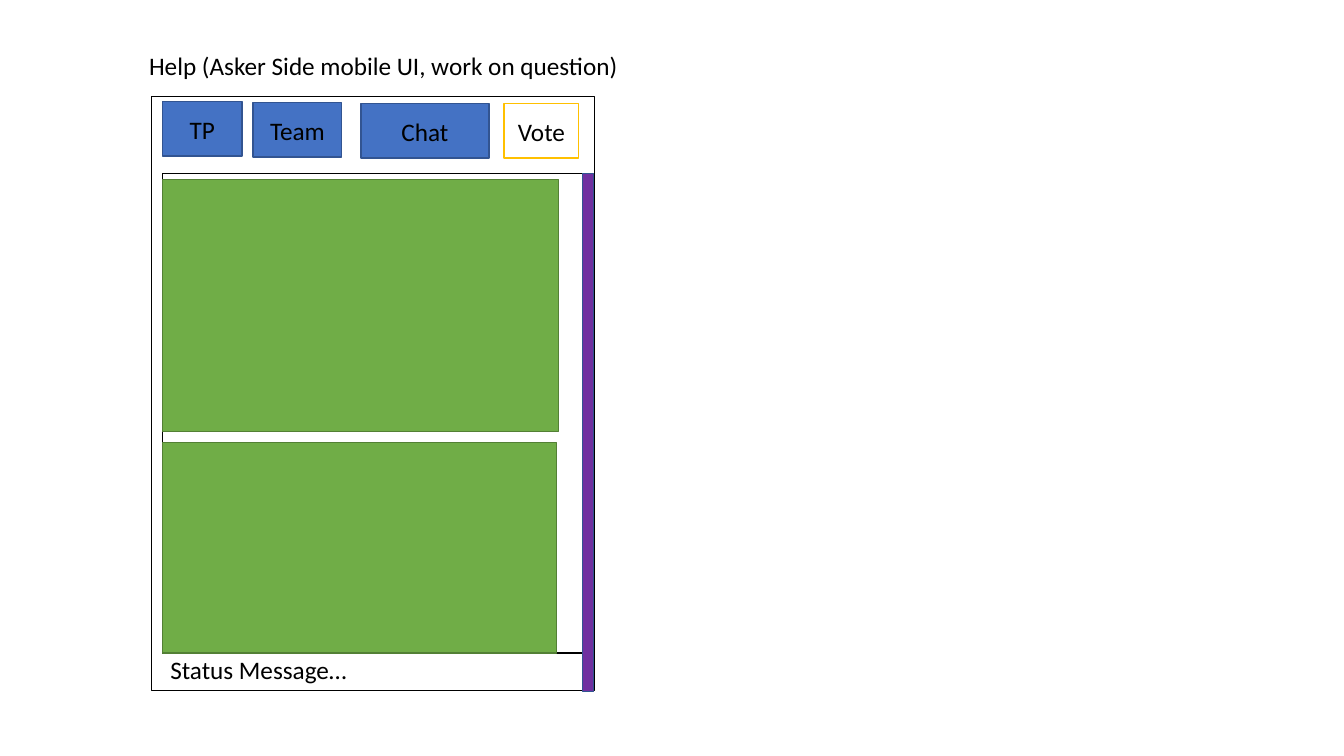
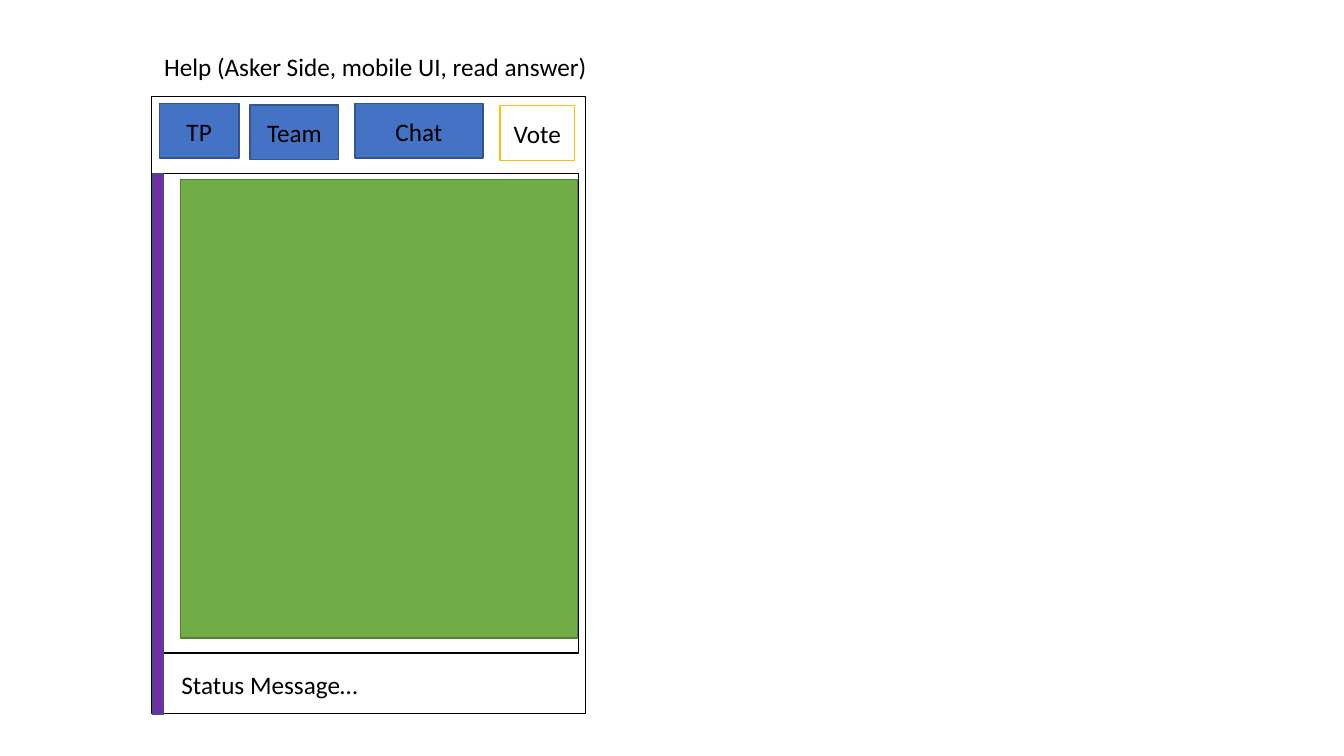
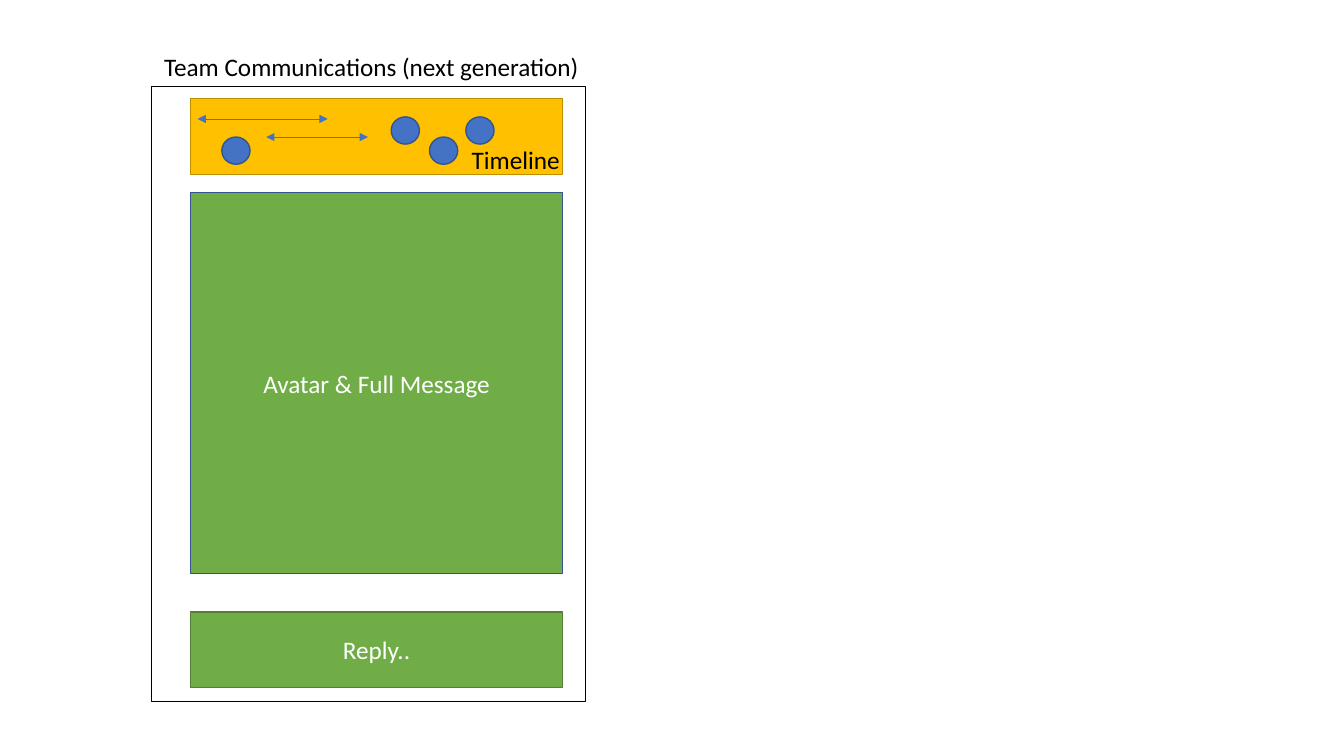
from lxml import etree
from pptx import Presentation
from pptx.dml.color import RGBColor
from pptx.enum.shapes import MSO_CONNECTOR, MSO_SHAPE
from pptx.enum.text import MSO_ANCHOR, MSO_AUTO_SIZE, PP_ALIGN
from pptx.oxml.ns import qn
from pptx.util import Inches, Pt

RECT, OVAL = MSO_SHAPE.RECTANGLE, MSO_SHAPE.OVAL
STRAIGHT = MSO_CONNECTOR.STRAIGHT
MIDDLE, CENTER, LEFT = MSO_ANCHOR.MIDDLE, PP_ALIGN.CENTER, PP_ALIGN.LEFT
GROW = MSO_AUTO_SIZE.SHAPE_TO_FIT_TEXT

# Shared style
FONT, TEXT_SIZE = "Calibri", 18
BLACK, WHITE = "000000", "FFFFFF"
BLUE, NAVY = "4472C4", "325491"
GREEN, DARK_GREEN = "70AD47", "538035"
GOLD, DARK_GOLD = "FFC000", "BD8E00"
PURPLE = "7030A0"

# Tab bar: label, width, fill, outline
TABS = [
    ("TP", 0.79, BLUE, NAVY),
    ("Team", 0.88, BLUE, NAVY),
    ("Chat", 1.27, BLUE, NAVY),
    ("Vote", 0.74, WHITE, GOLD),
]
TAB_HEIGHT = 0.54


def rgb(color):
    return RGBColor.from_string(color)


class Wireframe:
    """Draws mobile screens, one on each slide."""

    def __init__(self):
        self.deck = Presentation()
        self.deck.slide_width = Inches(13.33)
        self.deck.slide_height = Inches(7.5)
        self.slide = None

    def screen(self, title, title_box, frame_box):
        self.slide = self.deck.slides.add_slide(self.deck.slide_layouts[6])
        self.box(frame_box, WHITE, BLACK)
        self.label(title, title_box)

    def set_text(self, frame, text, color, align):
        frame.text = text
        paragraph = frame.paragraphs[0]
        paragraph.alignment = align
        font = paragraph.runs[0].font
        font.name, font.size = FONT, Pt(TEXT_SIZE)
        font.color.rgb = rgb(color)

    def box(self, place, fill, outline, text="", color=BLACK, kind=RECT):
        shape = self.slide.shapes.add_shape(kind, *map(Inches, place))
        shape.shadow.inherit = False
        shape.fill.solid()
        shape.fill.fore_color.rgb = rgb(fill)
        shape.line.color.rgb = rgb(outline)
        shape.line.width = Pt(1)
        if text:
            shape.text_frame.vertical_anchor = MIDDLE
            self.set_text(shape.text_frame, text, color, CENTER)

    def label(self, text, place, wrap=False):
        frame = self.slide.shapes.add_textbox(*map(Inches, place)).text_frame
        frame.word_wrap = wrap
        frame.auto_size = GROW
        self.set_text(frame, text, BLACK, LEFT)

    def tab_bar(self, corners):
        for (name, width, fill, outline), (left, top) in zip(TABS, corners):
            self.box((left, top, width, TAB_HEIGHT), fill, outline, name)

    def span(self, left, right, y):
        arrow = self.slide.shapes.add_connector(
            STRAIGHT, Inches(left), Inches(y), Inches(right), Inches(y))
        arrow.line.color.rgb = rgb(BLUE)
        arrow.line.width = Pt(0.5)
        properties = arrow._element.spPr
        outline = properties.find(qn("a:ln"))
        for end in ("a:headEnd", "a:tailEnd"):
            etree.SubElement(outline, qn(end), type="triangle")
        etree.SubElement(properties, qn("a:effectLst"))


ui = Wireframe()

# Asker side: work on question
ui.screen("Help (Asker Side mobile UI, work on question)",
          (1.38, 0.45, 4.91, 0.4), (1.5, 0.96, 4.4, 5.89))
ui.box((1.61, 1.72, 4.17, 4.76), WHITE, BLACK)
ui.box((1.61, 1.78, 3.93, 2.5), GREEN, DARK_GREEN)
ui.box((1.61, 4.39, 3.91, 2.09), GREEN, DARK_GREEN)
ui.box((5.78, 1.72, 0.11, 5.14), PURPLE, NAVY)
ui.tab_bar([(1.61, 1.01), (2.51, 1.02), (3.58, 1.03), (5, 1.03)])
ui.label("Status Message…", (1.59, 6.44, 1.98, 0.4))

# Asker side: read answer
ui.screen("Help (Asker Side, mobile UI, read answer)",
          (1.53, 0.46, 4.44, 0.4), (1.5, 0.96, 4.31, 6.12))
ui.box((1.53, 1.72, 4.21, 4.76), WHITE, BLACK)
ui.box((1.79, 1.78, 3.94, 4.55), GREEN, DARK_GREEN)
ui.box((1.51, 1.72, 0.11, 5.37), PURPLE, NAVY)
ui.tab_bar([(1.58, 1.03), (2.48, 1.04), (3.52, 1.03), (4.96, 1.05)])
ui.label("Status Message…", (1.7, 6.59, 1.98, 0.4))

# Team communications
ui.screen("Team Communications (next generation)",
          (1.53, 0.46, 4.37, 0.4), (1.5, 0.86, 4.31, 6.1))
PANEL_LEFT, PANEL_WIDTH = 1.89, 3.69
ui.box((PANEL_LEFT, 1.91, PANEL_WIDTH, 3.78), GREEN, NAVY,
       "Avatar & Full Message", WHITE)
ui.box((PANEL_LEFT, 0.98, PANEL_WIDTH, 0.75), GOLD, DARK_GOLD)
ui.box((PANEL_LEFT, 6.07, PANEL_WIDTH, 0.75), GREEN, DARK_GREEN,
       "Reply..", WHITE)

# Timeline periods and events
ui.span(1.96, 3.25, 1.18)
ui.span(2.64, 3.65, 1.36)
for event_left, event_top in [(3.88, 1.16), (4.26, 1.36), (4.62, 1.16), (2.2, 1.36)]:
    ui.box((event_left, event_top, 0.28, 0.27), BLUE, NAVY, kind=OVAL)
ui.label("Timeline", (4.58, 1.38, 1.16, 0.4), wrap=True)

ui.deck.save("out.pptx")
